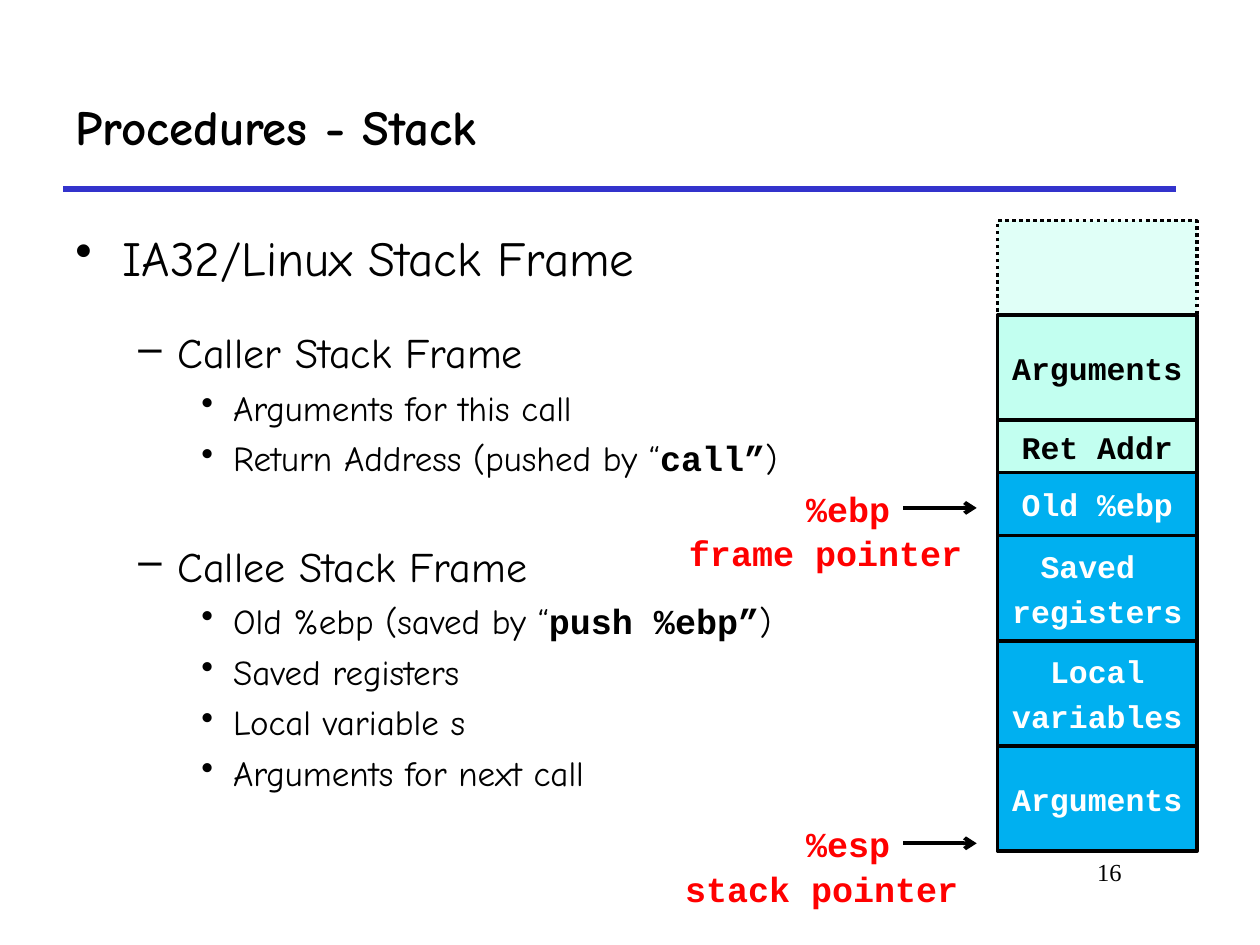
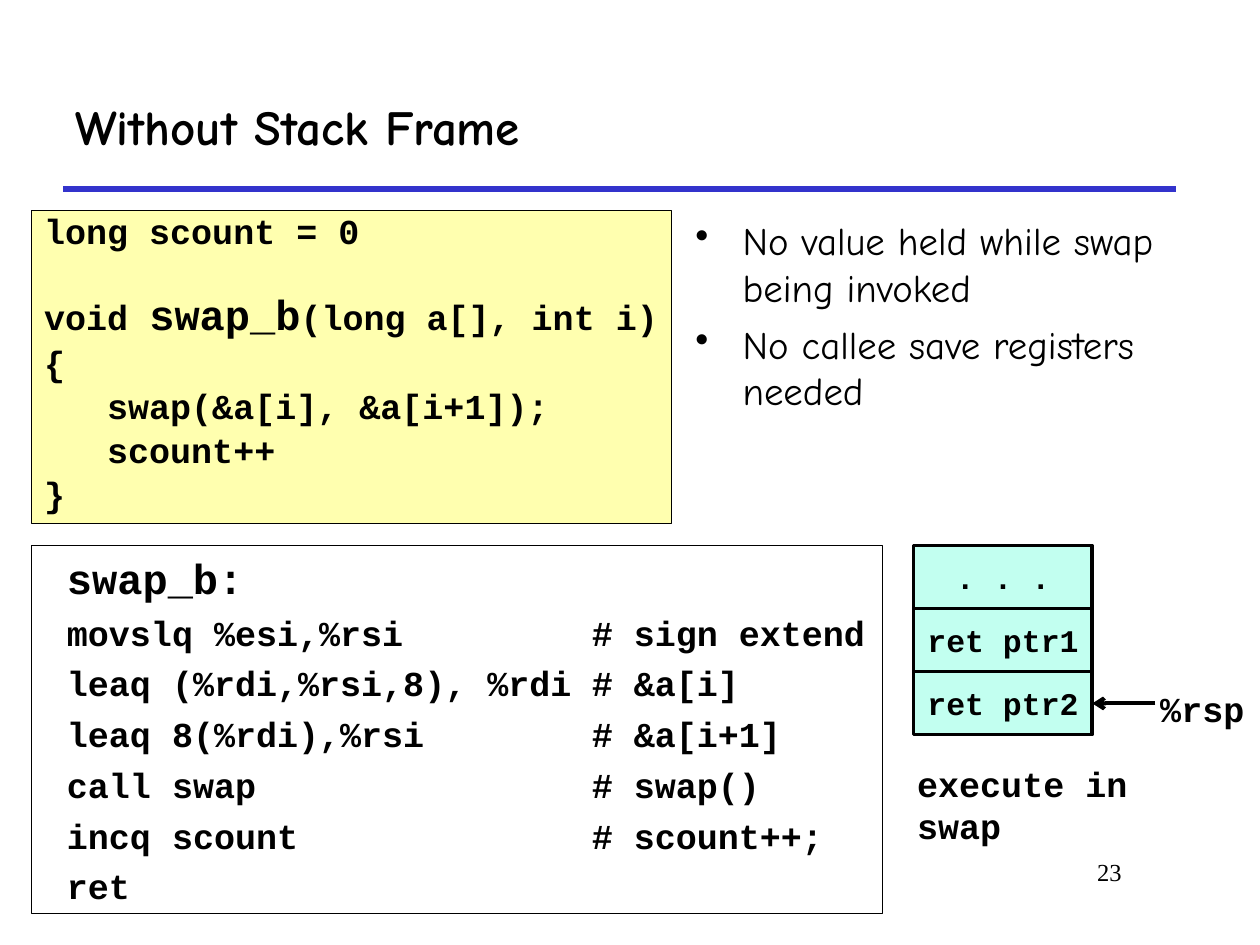
from dataclasses import dataclass

import pptx
import pptx.dml.color
import pptx.enum.dml
import pptx.enum.shapes
import pptx.enum.text
import pptx.oxml.ns
import pptx.util
from lxml import etree

Cm, Pt = pptx.util.Cm, pptx.util.Pt
ALIGN = pptx.enum.text.PP_ALIGN
ANCHOR = pptx.enum.text.MSO_ANCHOR
qn = pptx.oxml.ns.qn


@dataclass(frozen=True)
class Theme:
    ink: str = "000000"
    paper: str = "FFFFFF"
    rule: str = "3333CC"
    caller: str = "C2FFF0"
    callee: str = "00B0F0"
    pointer: str = "FF0000"
    code_fill: str = "FFFFAF"
    sans: str = "Comic Neue"
    mono: str = "Courier New"
    serif: str = "Times New Roman"
    title: float = 28
    heading: float = 24
    text: float = 20
    cell: float = 18
    note: float = 22.2
    page: float = 14


T = Theme()
INSETS = (0.25, 0.13, 0.25, 0.13)


def rgb(value):
    return pptx.dml.color.RGBColor.from_string(value)


def sub(parent, tag, **attrs):
    return etree.SubElement(parent, qn(tag), attrs)


class Deck:
    def __init__(self, theme):
        self.t = theme
        self.prs = pptx.Presentation()
        self.prs.slide_width, self.prs.slide_height = Cm(25.4), Cm(19.05)
        self.s = None

    def slide(self, title, number):
        self.s = self.prs.slides.add_slide(self.prs.slide_layouts[6])
        self.line((1.27, 3.81), (23.7, 3.81), self.t.rule, 3)
        tf = self.box(1.27, 1.27, 22.43, 2.54)
        tf.vertical_anchor = ANCHOR.MIDDLE
        self.para(tf, [(title, self.t.sans, True)], self.t.title)
        tf = self.box(19.25, 17.15, 3.61, 1.27)
        p = self.para(tf, [(str(number), self.t.serif, False)], self.t.page)
        p.alignment = ALIGN.RIGHT

    def frame(self, sp, insets, wrap=True):
        tf = sp.text_frame
        tf.word_wrap = wrap
        tf.margin_left, tf.margin_top, tf.margin_right, tf.margin_bottom = map(Cm, insets)
        return tf

    def box(self, x, y, w, h, wrap=True):
        sp = self.s.shapes.add_textbox(Cm(x), Cm(y), Cm(w), Cm(h))
        return self.frame(sp, INSETS, wrap)

    def rect(self, x, y, w, h, fill, width=2.0, insets=(0, 0, 0, 0)):
        sp = self.s.shapes.add_shape(
            pptx.enum.shapes.MSO_SHAPE.RECTANGLE, Cm(x), Cm(y), Cm(w), Cm(h))
        sp.shadow.inherit = False
        sp.fill.solid()
        sp.fill.fore_color.rgb = rgb(fill)
        sp.line.color.rgb = rgb(self.t.ink)
        sp.line.width = Pt(width)
        self.frame(sp, insets).vertical_anchor = ANCHOR.TOP
        return sp

    def ghost(self, x, y, w, h, fill):
        """Half-transparent area with a dotted border."""
        sp = self.rect(x, y, w, h, fill)
        sp.line.dash_style = pptx.enum.dml.MSO_LINE.ROUND_DOT
        sub(sp.fill._xPr.find(".//" + qn("a:srgbClr")), "a:alpha", val="50000")

    def line(self, start, end, color, width, arrow=False):
        cn = self.s.shapes.add_connector(
            pptx.enum.shapes.MSO_CONNECTOR.STRAIGHT, *map(Cm, start + end))
        cn.line.color.rgb = rgb(color)
        cn.line.width = Pt(width)
        if arrow:
            sub(cn.line._get_or_add_ln(), "a:tailEnd", type="arrow")
        sub(cn._element.spPr, "a:effectLst")

    def para(self, tf, runs, size, color=None, before=0):
        """Add a paragraph; each run is (text, font, bold[, size])."""
        first = tf.paragraphs[0]
        p = tf.add_paragraph() if first.runs else first
        p.space_before = Pt(before if p is not first else 0)
        p.alignment = ALIGN.LEFT
        for text, font, bold, *own in runs:
            r = p.add_run()
            r.text = text
            r.font.name, r.font.bold = font, bold
            r.font.size = Pt(own[0] if own else size)
            r.font.color.rgb = rgb(color or self.t.ink)
        return p

    def bullet(self, tf, runs, size, mark, left, hang, before):
        p = self.para(tf, runs, size, before=before)
        pPr = p._p.get_or_add_pPr()
        pPr.set("marL", str(Cm(left)))
        pPr.set("indent", str(-Cm(hang)))
        sub(sub(pPr, "a:buClr"), "a:srgbClr", val=self.t.ink)
        sub(pPr, "a:buChar", char=mark)

    def stack(self, x, y, w, cells):
        """Pile cells downwards; each is (lines, height, fill, text colour)."""
        for lines, h, fill, color in cells:
            tf = self.rect(x, y, w, h, fill).text_frame
            tf.vertical_anchor = ANCHOR.MIDDLE
            for text in lines:
                p = self.para(tf, [(text, self.t.mono, True)], self.t.cell, color, 4.5)
                p.alignment = ALIGN.CENTER
            y += h

    def label(self, text, x, y, w, color=None):
        tf = self.box(x, y, w, 1.12, wrap=False)
        self.para(tf, [(text, self.t.mono, True)], self.t.text, color)

    def code(self, x, y, w, h, fill, insets, lines, spacing=None, tab=None):
        """Listing; each line is (runs, space before)."""
        tf = self.rect(x, y, w, h, fill, 0.75, insets).text_frame
        for runs, before in lines:
            p = self.para(tf, [(text, self.t.mono, True, size) for text, size in runs],
                          self.t.text, before=before)
            if spacing:
                p.line_spacing = Pt(spacing)
            if tab:
                tabs = sub(p._p.get_or_add_pPr(), "a:tabLst")
                sub(tabs, "a:tab", pos=str(Cm(tab)), algn="l")


def stack_slide(d):
    d.slide("Procedures - Stack", 16)

    def plain(text):
        return [(text, T.sans, False)]

    def quoted(text, command):
        return plain(text + " “") + [(command + "”", T.mono, True)] + plain(")")

    levels = [(T.title, "•", 0.95, 0.95), (T.heading, "–", 2.06, 0.79),
              (T.text, "•", 3.18, 0.64)]
    tf = d.box(1.27, 4.45, 22.86, 13.77)
    for level, runs, before in [
        (0, plain("IA32/Linux Stack Frame"), 0),
        (1, plain("Caller Stack Frame"), 23.4),
        (2, plain("Arguments for this call"), 5),
        (2, quoted("Return Address (pushed by", "call"), 5),
        (1, plain("Callee Stack Frame"), 35),
        (2, quoted("Old %ebp (saved by", "push %ebp"), 5),
        (2, plain("Saved registers"), 5),
        (2, plain("Local variable s"), 5),
        (2, plain("Arguments for next call"), 5),
    ]:
        d.bullet(tf, runs, *levels[level], before)

    x, w = 20.11, 4.02
    d.ghost(x, 9.53, w, 7.62, T.callee)
    d.ghost(x, 4.45, w, 5.08, T.caller)
    caller, callee = (T.caller, T.ink), (T.callee, T.paper)
    d.stack(x, 6.35, w, [
        (["Arguments"], 2.12, *caller),
        (["Ret Addr"], 1.06, *caller),
        (["Old %ebp"], 1.27, *callee),
        (["Saved ", "registers"], 2.12, *callee),
        (["Local", "variables"], 2.12, *callee),
        (["Arguments"], 2.12, *callee),
    ])
    for register, role, role_x, y in [("%ebp", "frame pointer", 13.64, 9.7),
                                      ("%esp", "stack pointer", 13.56, 16.46)]:
        d.line((18.21, y + 0.54), (19.69, y + 0.54), T.ink, 2.25, arrow=True)
        d.label(register, 16, y, 2.21, T.pointer)
        d.label(role, role_x, y + 0.89, 6.02, T.pointer)


def no_frame_slide(d):
    d.slide("Without Stack Frame", 23)
    tf = d.box(13.77, 4.24, 11.43, 4.45)
    for text in ["No value held while swap being invoked",
                 "No callee save registers needed"]:
        d.bullet(tf, [(text, T.sans, False)], T.note, "•", 0.95, 0.95, 6)

    def line(text, before=5):
        return [(text, T.text)], before

    signature = [("void ", T.text), ("swap_b", T.heading), ("(long a[], int i)", T.text)]
    d.code(0.64, 4.24, 12.9, 6.32, T.code_fill, (0.25, 0.13, 0, 0.2), [
        line("long scount = 0"),
        (signature, 30),
        line("{"),
        line("   swap(&a[i], &a[i+1]);"),
        line("   scount++"),
        line("}"),
    ], spacing=20)
    d.code(0.64, 11, 17.15, 7.42, T.paper, (0.71, 0.13, 0.25, 0.13), [
        ([("swap_b:", T.heading)], 0),
        line("movslq %esi,%rsi\t# sign extend"),
        line("leaq (%rdi,%rsi,8), %rdi\t# &a[i]"),
        line("leaq 8(%rdi),%rsi\t# &a[i+1]"),
        line("call swap\t# swap()"),
        line("incq scount\t# scount++;"),
        line("ret"),
    ], tab=10.58)

    d.stack(18.42, 11, 3.6, [([text], 1.27, T.caller, T.ink)
                             for text in (". . .", "ret ptr1", "ret ptr2")])
    d.line((23.29, 14.18), (22.02, 14.18), T.ink, 2.25, arrow=True)
    d.label("%rsp", 23.14, 13.72, 2.21)
    d.label("execute in swap", 18.24, 15.24, 6.86)


def main():
    d = Deck(T)
    stack_slide(d)
    no_frame_slide(d)
    d.prs.save("out.pptx")


if __name__ == "__main__":
    main()
